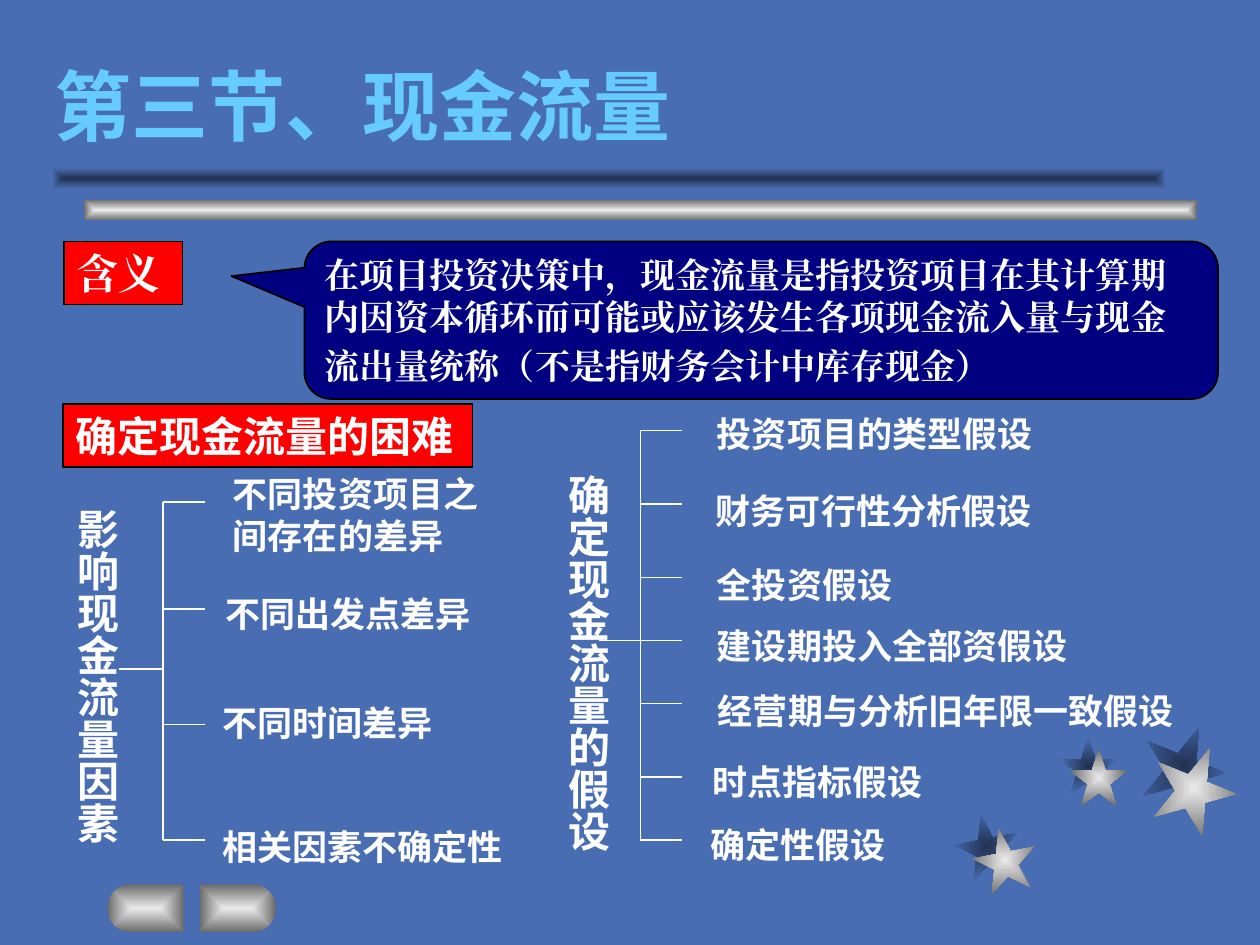
from math import cos, pi, sin

from lxml.etree import SubElement
from pptx import Presentation
from pptx.dml.color import RGBColor
from pptx.enum.shapes import MSO_CONNECTOR, MSO_SHAPE
from pptx.enum.text import MSO_ANCHOR
from pptx.oxml.ns import qn
from pptx.util import Inches, Pt

CELL = Inches(1) / 12  # the slide is a grid of 120 columns by 90 rows
SANS, SERIF = "Noto Sans CJK SC", "Times New Roman"
METAL, SHADE = ("EAEAEA", "6B6B6B"), ("213252", "496DB2")
color = RGBColor.from_string


def fill_from_center(shape, colors):
    shape.shadow.inherit = False
    shape.line.fill.background()
    shape.fill.gradient()
    for stop, value in zip(shape.fill.gradient_stops, colors):
        stop.color.rgb = color(value)
    gradient = shape._element.spPr.find(qn("a:gradFill"))
    gradient.remove(gradient.find(qn("a:lin")))
    center = SubElement(gradient, qn("a:path"), path="rect")
    SubElement(center, qn("a:fillToRect"), l="50000", t="50000", r="50000", b="50000")


def write(box, text, size, font=SANS, anchor=MSO_ANCHOR.MIDDLE, text_color="FFFFFF"):
    frame = box.text_frame
    frame.word_wrap = True
    frame.vertical_anchor = anchor
    frame.text = text
    para = frame.paragraphs[0]
    para.alignment = 1
    for span in para.runs:
        span.font.size = Pt(size)
        span.font.bold = True
        span.font.name = font
        span.font.color.rgb = color(text_color)
        SubElement(span._r.get_or_add_rPr(), qn("a:ea"), typeface=font)


deck = Presentation()
deck.slide_width, deck.slide_height = Inches(10), Inches(7.5)
page = deck.slides.add_slide(deck.slide_layouts[6])
page.background.fill.solid()
page.background.fill.fore_color.rgb = color("496DB2")
shapes = page.shapes

# Stars with their shadows, then the two bars under the title
ornaments = [
    (MSO_SHAPE.STAR_5_POINT, SHADE, 349, (91, 77.6, 6, 6)),
    (MSO_SHAPE.STAR_5_POINT, SHADE, 0, (100.9, 70.2, 5.5, 5.5)),
    (MSO_SHAPE.STAR_5_POINT, SHADE, 22, (108.7, 69, 8, 8)),
    (MSO_SHAPE.STAR_5_POINT, METAL, 349, (92.7, 78.9, 6, 6)),
    (MSO_SHAPE.STAR_5_POINT, METAL, 0, (101.9, 71.3, 5.5, 5.5)),
    (MSO_SHAPE.STAR_5_POINT, METAL, 22, (109.7, 71, 8, 8)),
    (MSO_SHAPE.RECTANGLE, METAL, 0, (8, 19, 106, 2)),
    (MSO_SHAPE.RECTANGLE, SHADE, 0, (5, 16, 106, 2)),
]
for kind, colors, angle, area in ornaments:
    ornament = shapes.add_shape(kind, *[round(n * CELL) for n in area])
    ornament.rotation = angle
    fill_from_center(ornament, colors)

# Two buttons, each with one flat and one round end
radius, middle = 2.28, 86.5
for flat, hub, side in [(17.5, 12.5, -1), (19, 24, 1)]:
    angles = [pi * step / 12 for step in range(13)]
    outline = [(hub + side * radius * sin(a), middle - radius * cos(a)) for a in angles]
    outline.append((flat, middle + radius))
    builder = shapes.build_freeform(round(flat * CELL), round((middle - radius) * CELL))
    builder.add_line_segments([(round(x * CELL), round(y * CELL)) for x, y in outline])
    fill_from_center(builder.convert_to_shape(), METAL)

title = shapes.add_textbox(*[round(n * CELL) for n in (4, 6, 113, 9)])
write(title, "第三节、现金流量", 44, anchor=MSO_ANCHOR.BOTTOM, text_color="66CCFF")

definition = "在项目投资决策中，现金流量是指投资项目在其计算期内因资本循环而可能或应该发生各项现金流入量与现金流出量统称（不是指财务会计中库存现金）"
panels = [
    (MSO_SHAPE.RECTANGLE, "FF0000", (6.1, 23, 11.3, 6), "含义", 24, SERIF),
    (MSO_SHAPE.ROUNDED_RECTANGULAR_CALLOUT, "000080", (29, 23, 87, 15), definition, 20, SERIF),
    (MSO_SHAPE.RECTANGLE, "FF0000", (6, 38.5, 39, 6), "确定现金流量的困难", 24, SANS),
]
for kind, fill, area, text, size, font in panels:
    panel = shapes.add_shape(kind, *[round(n * CELL) for n in area])
    panel.shadow.inherit = False
    panel.fill.solid()
    panel.fill.fore_color.rgb = color(fill)
    panel.line.color.rgb = color("000000")
    panel.line.width = Pt(1)
    write(panel, text, size, font)
    if kind == MSO_SHAPE.ROUNDED_RECTANGULAR_CALLOUT:
        for index, share in enumerate((-0.58, -0.28, 0.17)):
            panel.adjustments[index] = share
        space = panel.text_frame.paragraphs[0].add_run()
        space.text = " "
        space.font.size = Pt(24)
        space.font.name = font

# Vertical headings
for text, area in [
    ("影响现金流量因素", (5, 47.2, 7.2, 34.2)),
    ("确定现金流量的假设", (51.8, 44, 7.2, 39)),
]:
    heading = shapes.add_textbox(*[round(n * CELL) for n in area])
    write(heading, text, 24, anchor=MSO_ANCHOR.TOP)
    frame = heading.text_frame
    frame.word_wrap = False
    frame.margin_left = frame.margin_right = Inches(0.05)
    frame.margin_top = frame.margin_bottom = Inches(0.1)
    frame._txBody.bodyPr.set("vert", "eaVert")

# Brackets: stem start, stem row, trunk column, trunk width, branch rows
brackets = [
    (11.3, 63.7, 15.5, 1, (47.8, 58, 69, 80)),
    (57, 61, 61, 0.75, (41, 48, 55, 61, 67, 74, 80)),
]
for start, stem_row, trunk, width, rows in brackets:
    lines = [(start, stem_row, trunk, stem_row, width), (trunk, rows[0], trunk, rows[-1], width)]
    lines += [(trunk, row, trunk + 4, row, 0.75) for row in rows]
    for *ends, weight in lines:
        line = shapes.add_connector(MSO_CONNECTOR.STRAIGHT, *[round(n * CELL) for n in ends])
        line.line.color.rgb = color("FFFFFF")
        line.line.width = Pt(weight)
        SubElement(line._element.spPr, qn("a:effectLst"))

# Branch labels: text, left, top, width, height
labels = [
    ("不同投资项目之间存在的差异", 21, 44, 26, 10.1),
    ("不同出发点差异", 20.3, 55.8, 26, 5.3),
    ("不同时间差异", 20, 66.2, 26, 5.3),
    ("相关因素不确定性", 20, 78, 30, 5.3),
]
assumptions = [
    ("投资项目的类型假设", 67.1, 38.6),
    ("财务可行性分析假设", 67, 46),
    ("全投资假设", 67.1, 53),
    ("建设期投入全部资假设", 67.1, 58.8),
    ("经营期与分析旧年限一致假设", 67.2, 65),
    ("时点指标假设", 66.7, 71.8),
    ("确定性假设", 66.5, 77.8),
]
labels += [(text, left, top, len(text) * 10 / 3 + 3.2, 5.3) for text, left, top in assumptions]
for text, *area in labels:
    label = shapes.add_textbox(*[round(n * CELL) for n in area])
    write(label, text, 20)

deck.save("out.pptx")
